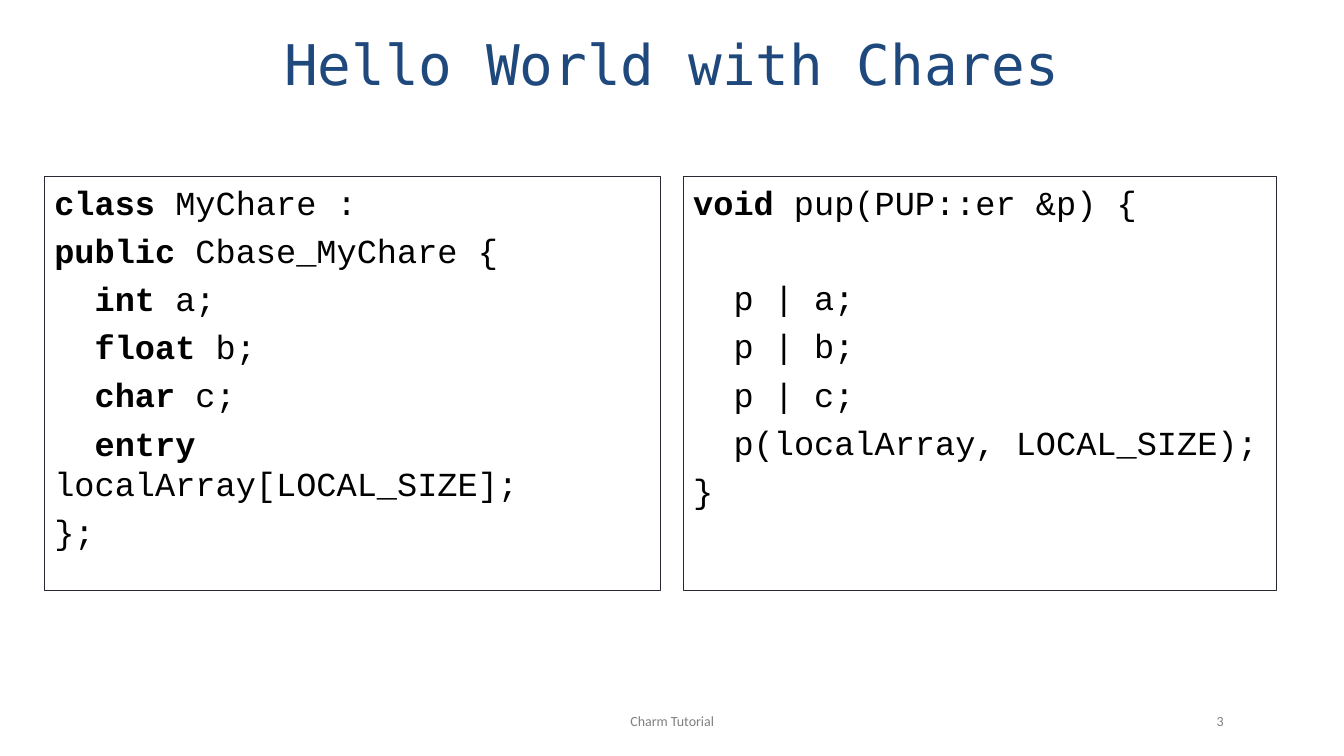
from pptx import Presentation
from pptx.dml.color import RGBColor
from pptx.enum.shapes import MSO_SHAPE as Shape
from pptx.enum.text import MSO_ANCHOR as Anchor, PP_ALIGN as Align
from pptx.util import Cm, Pt

COLORS = {
    "title": "1F497D",
    "code": "000000",
    "panel": "FFFFFF",
    "border": "292934",
    "footer": "808080",
}
CODE_SIZE = 24
CODE_INDENT = Pt(28.8)  # two monospaced characters
LINE_GAP = 5.6
EMPTY_LINE = 33.9

# Each line: (bold keyword, remaining code, indented, empty line above)
CLASS_CODE = [
    ("class", " MyChare :", False, False),
    ("public", " Cbase_MyChare {", False, False),
    ("int", " a;", True, False),
    ("float", " b;", True, False),
    ("char", " c;", True, False),
    ("entry", " localArray[LOCAL_SIZE];", True, False),
    ("", "};", False, False),
]
PUP_CODE = [
    ("void", " pup(PUP::er &p) {", False, False),
    ("", "p | a;", True, True),
    ("", "p | b;", True, False),
    ("", "p | c;", True, False),
    ("", "p(localArray, LOCAL_SIZE);", True, False),
    ("", "}", False, False),
]


class SlideBuilder:
    """Holds the style and the current slide."""

    def __init__(self, slide):
        self.slide = slide
        self.code_font = "Courier New"

    def color(self, name):
        return RGBColor.from_string(COLORS[name])

    def style(self, run, font, size, color, bold=False):
        run.font.name = font
        run.font.size = Pt(size)
        run.font.bold = bold
        run.font.color.rgb = self.color(color)

    def label(self, text, box, align, font, size, color):
        shape = self.slide.shapes.add_textbox(*map(Cm, box))
        text_frame = shape.text_frame
        text_frame.word_wrap = True
        text_frame.vertical_anchor = Anchor.MIDDLE
        text_frame.text = text
        paragraph = text_frame.paragraphs[0]
        paragraph.alignment = align
        self.style(paragraph.runs[0], font, size, color)

    def code_panel(self, lines, box):
        shape = self.slide.shapes.add_shape(Shape.RECTANGLE, *map(Cm, box))
        shape.shadow.inherit = False
        shape.fill.solid()
        shape.fill.fore_color.rgb = self.color("panel")
        shape.line.color.rgb = self.color("border")
        shape.line.width = Pt(0.75)
        text_frame = shape.text_frame
        text_frame.word_wrap = True
        text_frame.vertical_anchor = Anchor.TOP
        text_frame.text = "\n".join(keyword + rest for keyword, rest, *_ in lines)
        for paragraph, line in zip(text_frame.paragraphs, lines):
            self.code_line(paragraph, *line)

    def code_line(self, paragraph, keyword, rest, indented, gap_above):
        paragraph.alignment = Align.LEFT
        paragraph.space_before = Pt(LINE_GAP + EMPTY_LINE * gap_above)
        if indented:
            # Only the first line is indented; wrapped text returns to the edge
            properties = paragraph._p.get_or_add_pPr()
            properties.set("marL", "0")
            properties.set("indent", str(CODE_INDENT))
        run = paragraph.runs[0]
        if keyword:
            run.text = keyword
            self.style(run, self.code_font, CODE_SIZE, "code", bold=True)
            run = paragraph.add_run()
            run.text = rest
        self.style(run, self.code_font, CODE_SIZE, "code")


def main():
    presentation = Presentation()
    presentation.slide_width = Cm(33.87)
    presentation.slide_height = Cm(19.05)
    slide = presentation.slides.add_slide(presentation.slide_layouts[6])
    builder = SlideBuilder(slide)

    # Title
    builder.label("Hello World with Chares", (1.12, 0.43, 31.6, 2.34),
                  Align.CENTER, "DejaVu Sans Mono", 40, "title")

    # Code panels
    builder.code_panel(CLASS_CODE, (1.12, 4.45, 15.52, 10.44))
    builder.code_panel(PUP_CODE, (17.22, 4.45, 14.96, 10.44))

    # Footer
    builder.label("3", (27.51, 17.65, 3.58, 1.02),
                  Align.RIGHT, "Calibri", 10, "footer")
    builder.label("Charm Tutorial", (10.41, 17.65, 13.06, 1.02),
                  Align.CENTER, "Calibri", 10, "footer")

    presentation.save("out.pptx")


if __name__ == "__main__":
    main()
